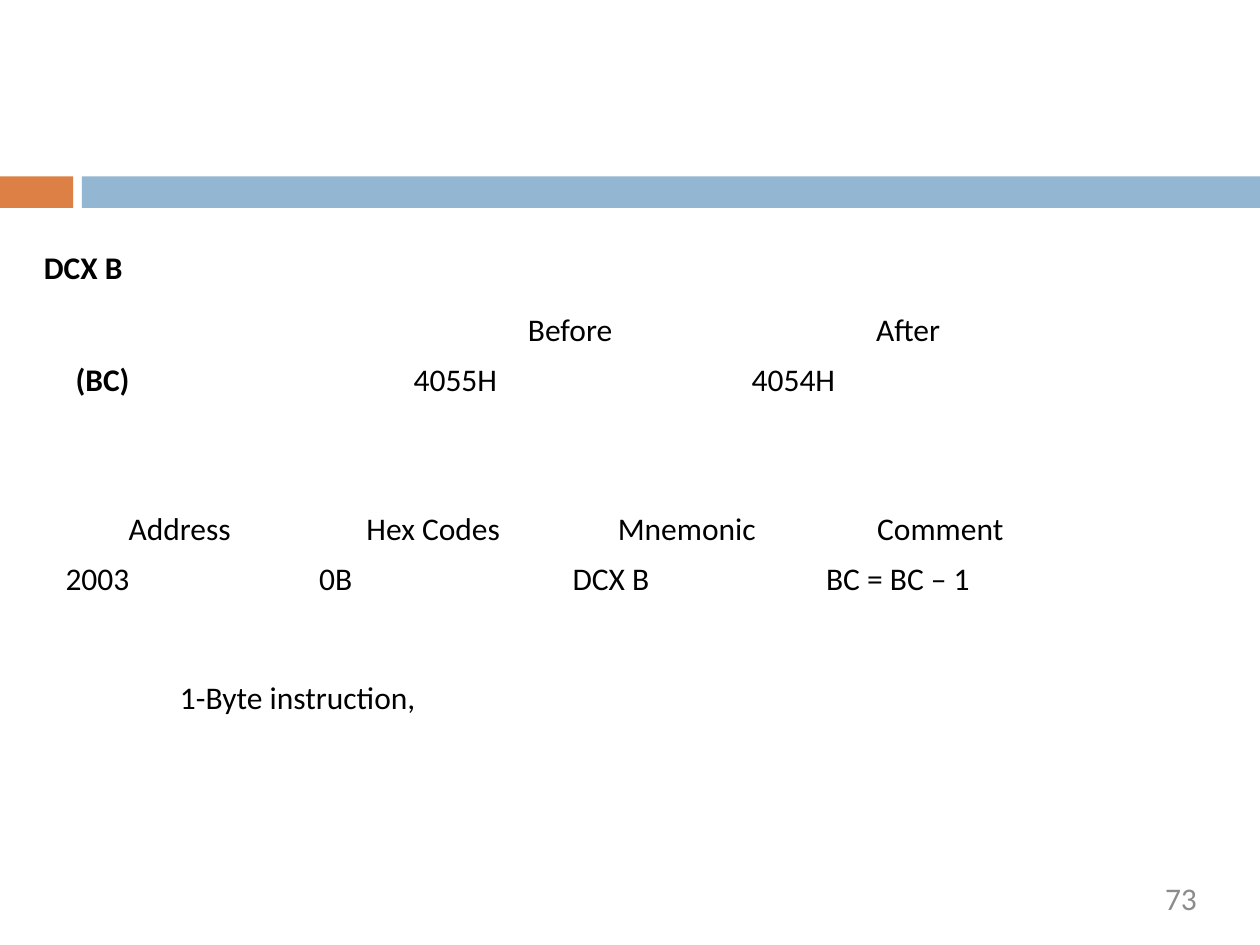
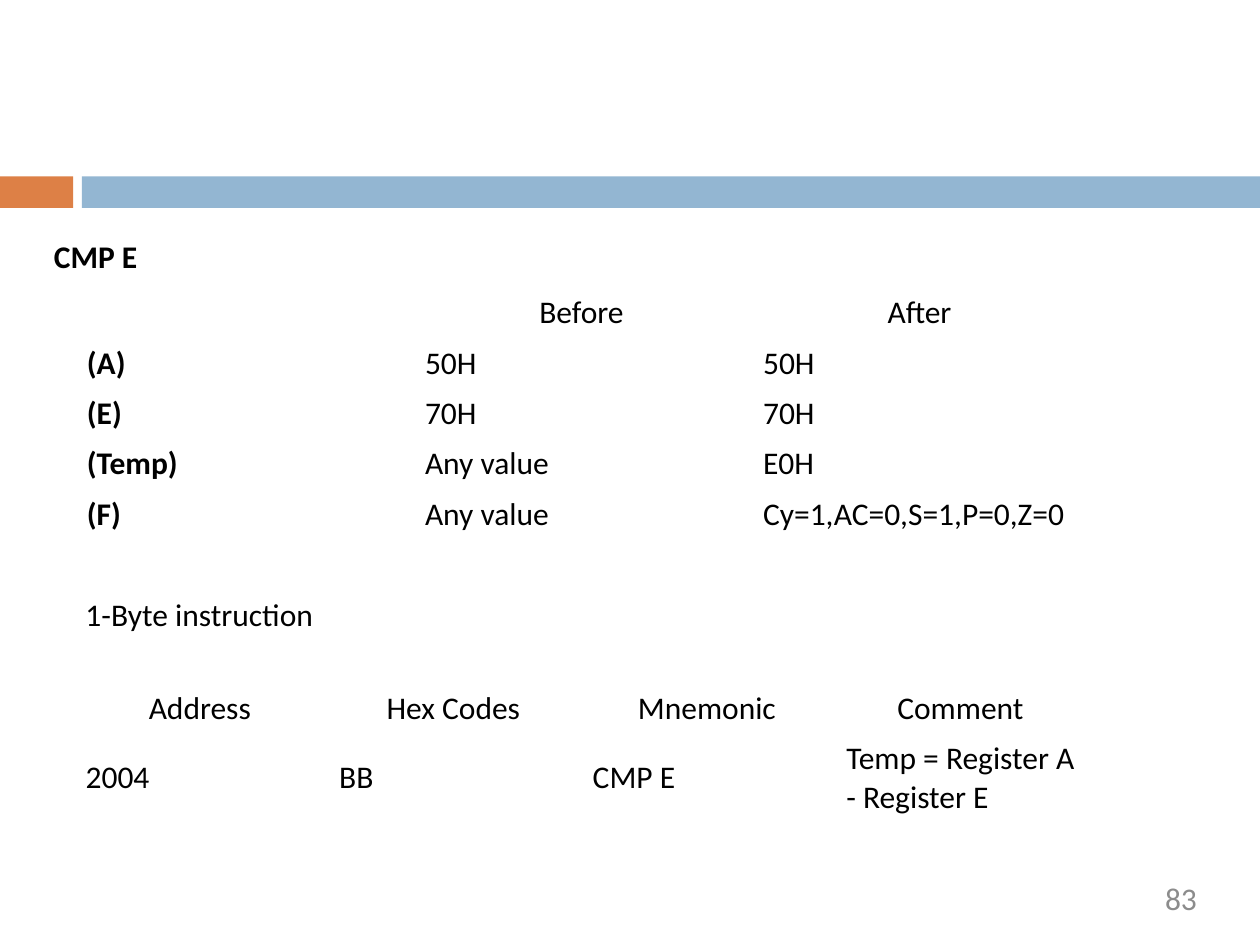
from pptx import Presentation
from pptx.dml.color import RGBColor
from pptx.enum.shapes import MSO_SHAPE
from pptx.enum.text import MSO_ANCHOR, PP_ALIGN
from pptx.util import Inches, Pt

RECT = MSO_SHAPE.RECTANGLE
MID = MSO_ANCHOR.MIDDLE
LEFT, CENTER, RIGHT = PP_ALIGN.LEFT, PP_ALIGN.CENTER, PP_ALIGN.RIGHT

WIDE, HIGH = 10, 7.5
FONT, SIZE = "Calibri", 18
BLACK, GRAY = "000000", "8C8C8C"
BANDS = [(0, 0.58, "DD8046"), (0.65, WIDE, "93B6D2")]  # left, right, fill
BAND_TOP, BAND_HIGH = 1.4, 0.25
GRID_WIDE, ROW = 8.05, 0.4

STATE = ["", "Before", "After"]
CODE = ["Address", "Hex Codes", "Mnemonic", "Comment"]

# Each text: words, left, top, width. Each table: left, top, height, rows.
SLIDES = [
    {
        "page": "73",
        "title": ("DCX B", 0.25, 1.92, 0.89),
        "note": ("1-Byte instruction,", 1.33, 5.33, 2.15),
        "state": (0.5, 2.42, 0.8, [STATE, ["(BC)", "4055H", "4054H"]]),
        "code": (0.42, 4, 0.8, [CODE, ["2003", "0B", "DCX B", "BC = BC – 1"]]),
    },
    {
        "page": "83",
        "title": ("CMP E", 0.33, 1.83, 0.93),
        "note": ("1-Byte instruction", 0.58, 4.67, 2.09),
        "state": (0.59, 2.28, 2, [
            STATE,
            ["(A)", "50H", "50H"],
            ["(E)", "70H", "70H"],
            ["(Temp)", "Any value", "E0H"],
            ["(F)", "Any value", "Cy=1,AC=0,S=1,P=0,Z=0"],
        ]),
        "code": (0.58, 5.42, 1.1, [
            CODE,
            ["2004", "BB", "CMP E", "Temp = Register A - Register E"],
        ]),
    },
]


def paint(hue):
    return RGBColor.from_string(hue)


def write(frame, words, align=LEFT, bold=False, hue=BLACK):
    para = frame.paragraphs[0]
    para.alignment = align
    run = para.add_run()
    run.text = words
    font = run.font
    font.name, font.size, font.bold = FONT, Pt(SIZE), bold
    font.color.rgb = paint(hue)


def add_bands(slide):
    for left, right, hue in BANDS:
        band = slide.shapes.add_shape(
            RECT, Inches(left), Inches(BAND_TOP),
            Inches(right - left), Inches(BAND_HIGH))
        band.shadow.inherit = False
        band.fill.solid()
        band.fill.fore_color.rgb = paint(hue)
        band.line.fill.background()


def add_text(slide, words, left, top, width, bold=False):
    box = slide.shapes.add_textbox(
        Inches(left), Inches(top), Inches(width), Inches(ROW))
    box.text_frame.word_wrap = False
    write(box.text_frame, words, bold=bold)


def add_page(slide, num):
    box = slide.shapes.add_textbox(
        Inches(0.72 * WIDE), Inches(0.93 * HIGH),
        Inches(0.23 * WIDE), Inches(0.05 * HIGH))
    frame = box.text_frame
    frame.word_wrap = True
    frame.margin_left = frame.margin_right = 0
    frame.margin_top = frame.margin_bottom = 0
    write(frame, num, RIGHT, hue=GRAY)


def add_grid(slide, left, top, height, rows, keys=False):
    """Add a plain table; the last row takes what height is left, keys bolds column one."""
    count = len(rows[0])
    table = slide.shapes.add_table(
        len(rows), count, Inches(left), Inches(top),
        Inches(GRID_WIDE), Inches(height)).table
    table.first_row = table.horz_banding = False
    for col in table.columns:
        col.width = Inches(GRID_WIDE / count)
    for row in table.rows:
        row.height = Inches(ROW)
    table.rows[len(rows) - 1].height = Inches(height - ROW * (len(rows) - 1))
    for r, row in enumerate(rows):
        for c, words in enumerate(row):
            cell = table.cell(r, c)
            cell.fill.background()
            cell.vertical_anchor = MID
            if words:
                write(cell.text_frame, words, LEFT if r else CENTER,
                      bold=keys and c == 0)


def main():
    deck = Presentation()
    deck.slide_width, deck.slide_height = Inches(WIDE), Inches(HIGH)
    for item in SLIDES:
        slide = deck.slides.add_slide(deck.slide_layouts[6])
        add_bands(slide)
        add_page(slide, item["page"])
        add_text(slide, *item["title"], bold=True)
        add_grid(slide, *item["state"], keys=True)
        add_grid(slide, *item["code"])
        add_text(slide, *item["note"])
    deck.save("out.pptx")


if __name__ == "__main__":
    main()
